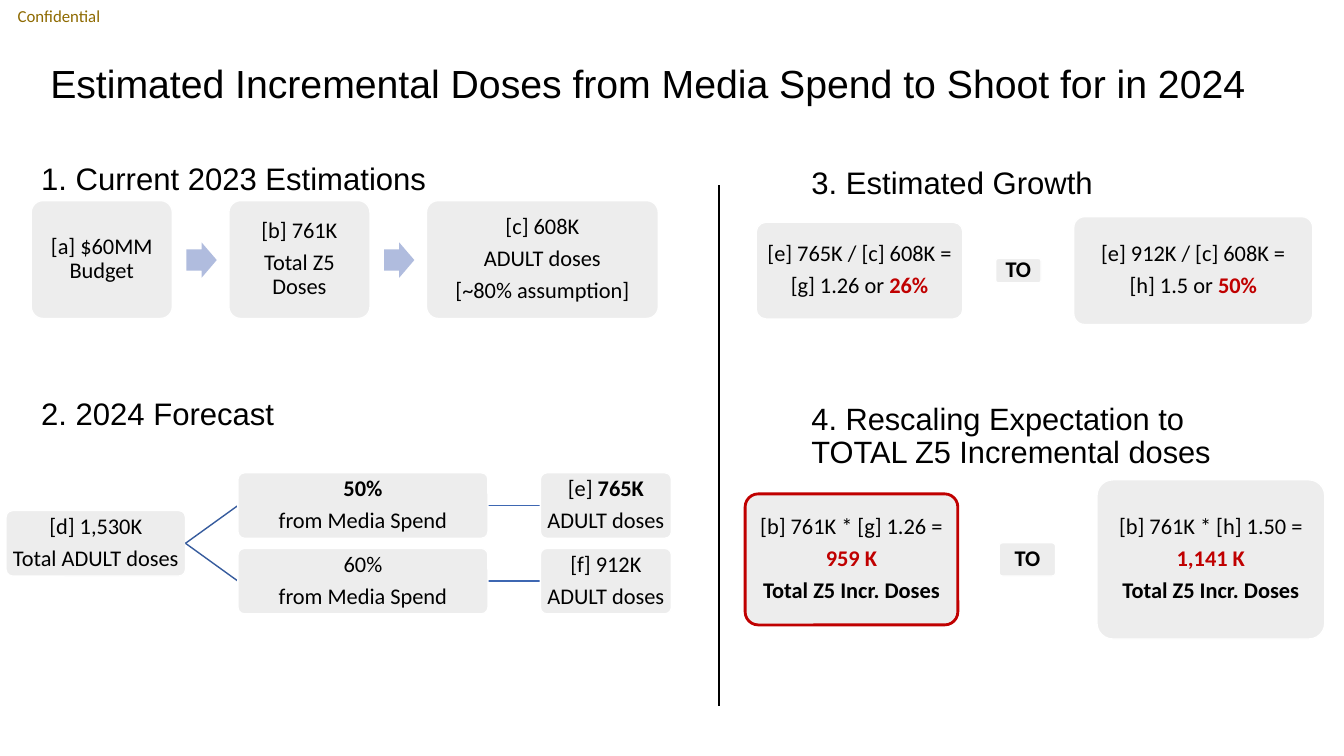
import pptx
import pptx.dml.color
import pptx.enum.shapes
import pptx.enum.text
import pptx.oxml.ns
import pptx.util
from lxml import etree

PX = 9144  # 100 px to the inch
BLACK, RED, GREY, WHITE = "000000", "C00000", "EDEDED", "FFFFFF"
ARROW_BLUE, BRANCH_BLUE, LINK_BLUE, GOLD = "B0BCDE", "365B9D", "3E67B2", "8E6A00"
SHAPE = pptx.enum.shapes.MSO_SHAPE
ALIGN = pptx.enum.text.PP_ALIGN
ANCHOR = pptx.enum.text.MSO_ANCHOR


def px(*lengths):
    return [round(length * PX) for length in lengths]


def color(hex_value):
    return pptx.dml.color.RGBColor.from_string(hex_value)


def bold(text, ink=BLACK):
    return text, True, ink


def write(frame, lines, size, face, ink=BLACK, align=ALIGN.LEFT,
          spacing=0.9, after=0, inset=(10, 5), anchor=ANCHOR.TOP):
    """Each line is a string, or a list of strings and bold() runs."""
    frame.word_wrap = True
    frame.vertical_anchor = anchor
    frame.margin_left = frame.margin_right = px(inset[0])[0]
    frame.margin_top = frame.margin_bottom = px(inset[1])[0]
    for index, line in enumerate(lines):
        paragraph = frame.add_paragraph() if index else frame.paragraphs[0]
        paragraph.alignment = align
        paragraph.line_spacing = spacing
        paragraph.space_after = pptx.util.Pt(after)
        paragraph.font.size = pptx.util.Pt(size)
        paragraph.font.name = face
        paragraph.font.color.rgb = color(ink)
        if isinstance(line, str):
            paragraph.text = line
            continue
        for part in line:
            run = paragraph.add_run()
            if isinstance(part, str):
                run.text = part
            else:
                run.text, run.font.bold, run_ink = part
                run.font.color.rgb = color(run_ink)


def label(slide, box, text, size, face="Arial", **style):
    frame = slide.shapes.add_textbox(*px(*box)).text_frame
    write(frame, [text], size, face, **style)


def heading(slide, left, top, text):
    label(slide, (left, top, 475, 40), text, 22.2, spacing=0.8)


def card(slide, box, lines, inset=7, border=WHITE, border_width=1):
    shape = slide.shapes.add_shape(SHAPE.ROUNDED_RECTANGLE, *px(*box))
    shape.adjustments[0] = 0.1
    shape.shadow.inherit = False
    shape.fill.solid()
    shape.fill.fore_color.rgb = color(GREY)
    shape.line.color.rgb = color(border)
    shape.line.width = pptx.util.Pt(border_width)
    write(shape.text_frame, lines, 16, "Calibri", align=ALIGN.CENTER,
          after=5.5, inset=(inset, inset), anchor=ANCHOR.MIDDLE)


def rule(slide, start, end, ink, width=1):
    line = slide.shapes.add_connector(
        pptx.enum.shapes.MSO_CONNECTOR.STRAIGHT, *px(*start, *end))
    line.line.color.rgb = color(ink)
    line.line.width = pptx.util.Pt(width)
    etree.SubElement(line._element.spPr, pptx.oxml.ns.qn("a:effectLst"))


def current_estimations(slide, left, top, width, height):
    heading(slide, left, top, "1. Current 2023 Estimations")
    steps = [
        (140, ["[a] $60MM Budget"]),
        (140, ["[b] 761K", "Total Z5 Doses"]),
        (230, ["[c] 608K", "ADULT doses", "[~80% assumption]"]),
    ]
    card_top, card_height = top + 39, height - 39
    gap = (width - sum(step_width for step_width, _ in steps)) / 2
    x = left
    for index, (step_width, lines) in enumerate(steps):
        if index:
            arrow = slide.shapes.add_shape(SHAPE.RIGHT_ARROW, *px(
                x - gap + 14, card_top + card_height / 2 - 17, 30, 35))
            arrow.adjustments[0] = 0.6
            arrow.shadow.inherit = False
            arrow.fill.solid()
            arrow.fill.fore_color.rgb = color(ARROW_BLUE)
            arrow.line.fill.background()
        card(slide, (x, card_top, step_width, card_height), lines)
        x += step_width + gap


def forecast(slide, left, top, width, height):
    heading(slide, left + 25, top, "2. 2024 Forecast")
    total_width, share_width, doses_width = 178, 248, 130
    card_height, pitch = 65, 75
    gap = (width - total_width - share_width - doses_width) / 2
    share_left = left + total_width + gap
    doses_left = share_left + share_width + gap
    first_top = top + height - pitch - card_height
    middle = first_top + (pitch + card_height) / 2
    card(slide, (left, middle - card_height / 2, total_width, card_height),
         ["[d] 1,530K", "Total ADULT doses"], inset=1)
    branches = [
        ([bold("50%")], ["[e] ", bold("765K")]),
        ("60%", "[f] 912K"),
    ]
    for index, (share, doses) in enumerate(branches):
        y = first_top + index * pitch
        center = y + card_height / 2
        rule(slide, (left + total_width, middle), (share_left, center), BRANCH_BLUE)
        rule(slide, (share_left + share_width, center), (doses_left, center), LINK_BLUE)
        card(slide, (share_left, y, share_width, card_height),
             [share, "from Media Spend"], inset=1)
        card(slide, (doses_left, y, doses_width, card_height),
             [doses, "ADULT doses"], inset=1)


def growth_range(slide, left, top, width, height, sizes, low, high, **low_border):
    """Low estimate, TO and high estimate centred on one line."""
    middle = top + height - sizes[-1][1] / 2
    gap = (width - sum(size[0] for size in sizes)) / 2
    x = left
    contents = [(low, low_border), ([[bold("TO")]], {}), (high, {})]
    for (card_width, card_height), (lines, border) in zip(sizes, contents):
        card(slide, (x, middle - card_height / 2, card_width, card_height),
             lines, **border)
        x += card_width + gap


def estimated_growth(slide, left, top, width, height):
    heading(slide, left + 45, top, "3. Estimated Growth")
    growth_range(
        slide, left, top, width, height, [(205, 96), (45, 24), (237, 107)],
        ["[e] 765K / [c] 608K =", ["[g] 1.26 or ", bold("26%", RED)]],
        ["[e] 912K / [c] 608K =", ["[h] 1.5 or ", bold("50%", RED)]])


def rescaling(slide, left, top, width, height):
    label(slide, (left + 56, top, 447, 96),
          "4. Rescaling Expectation to\vTOTAL Z5 Incremental doses", 22)
    total = [bold("Total Z5 Incr. Doses")]
    growth_range(
        slide, left, top, width, height, [(211, 130), (56, 33), (226, 158)],
        ["[b] 761K * [g] 1.26 =", [bold("959 K", RED)], total],
        ["[b] 761K * [h] 1.50 =", [bold("1,141 K", RED)], total],
        border=RED, border_width=2)


def main():
    deck = pptx.Presentation()
    deck.slide_width, deck.slide_height = px(1333, 750)
    slide = deck.slides.add_slide(deck.slide_layouts[6])

    # Marking and title
    label(slide, (0, 0, 117, 32), "Confidential", 12, "Calibri", ink=GOLD,
          align=ALIGN.CENTER, spacing=1, inset=(0, 0), anchor=ANCHOR.MIDDLE)
    label(slide, (40, 40, 1245, 90),
          "Estimated Incremental Doses from Media Spend to Shoot for in 2024",
          28, anchor=ANCHOR.MIDDLE)

    # Left half, divider, right half
    current_estimations(slide, 31, 160, 622, 156)
    forecast(slide, 6, 394, 660, 215)
    rule(slide, (713, 184), (713, 700), BLACK, 1.25)
    estimated_growth(slide, 750, 164, 552, 158)
    rescaling(slide, 739, 396, 575, 238)

    deck.save("out.pptx")


if __name__ == "__main__":
    main()
